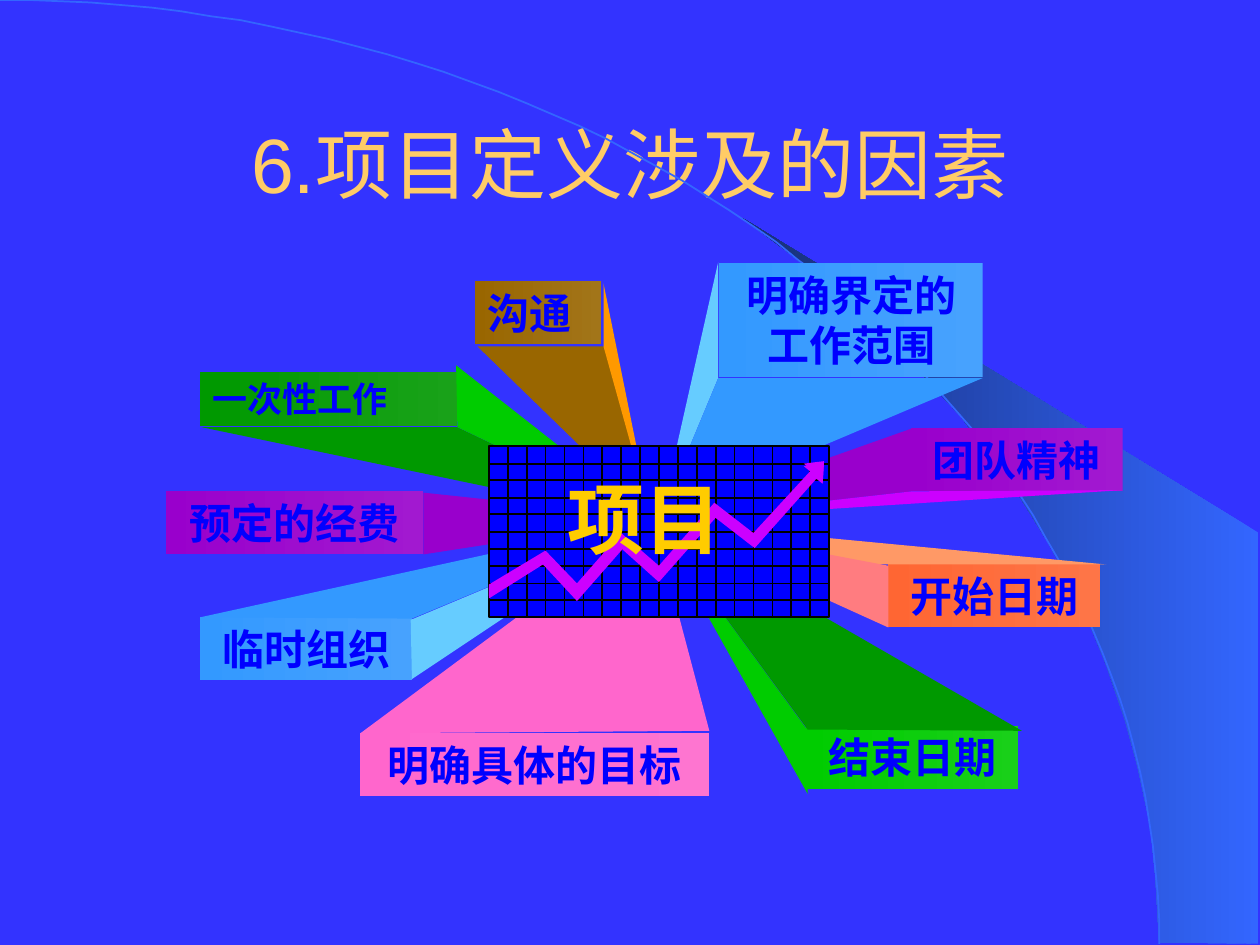
from dataclasses import dataclass
from math import cos, pi, sin

from lxml.etree import SubElement
from pptx import Presentation
from pptx.dml.color import RGBColor
from pptx.enum.shapes import MSO_CONNECTOR as Connector, MSO_SHAPE as Shape
from pptx.enum.text import MSO_ANCHOR as Anchor, MSO_AUTO_SIZE as AutoSize, PP_ALIGN as Align
from pptx.oxml.ns import qn
from pptx.util import Pt

PX = 9144


@dataclass(frozen=True)
class Theme:
    background: str = "3333FF"
    arc: str = "3366FF"
    arc_shade: str = "172F75"
    title: str = "FFCC66"
    label: str = "0000FF"
    panel: str = "0000FF"
    grid: str = "000000"
    trend: str = "CC00FF"
    project: str = "FFCC00"
    heading_size: int = 44
    label_size: int = 24
    small_size: int = 20
    heading_font: str = "Arial"
    label_font: str = "Times New Roman"
    chinese_font: str = "Noto Sans CJK SC"


THEME = Theme()

BAND = [(920, 748), (999, 749), (999, 423), (589, 173), (624, 199), (653, 222),
        (685, 250), (716, 280), (762, 330), (803, 384), (832, 431), (858, 479),
        (878, 528), (893, 572), (903, 609), (913, 656), (917, 696)]

TREND = [(0, 112), (45, 85), (70, 111), (105, 71), (135, 97), (179, 47), (210, 71),
         (256, 21), (250, 16), (266, 14), (265, 30), (260, 26), (211, 81), (180, 57),
         (135, 108), (106, 82), (70, 123), (43, 94), (0, 121)]

FACTORS = [
    dict(text="沟通", box=(377, 223, 100, 50), colors=("A27519", "996600"),
         align=Align.LEFT, apex=(516, 408),
         faces=[("996600", (2, 52), (107, 52)), ("FF9900", (102, 2), (102, 52))]),
    dict(text="明确界定的\n工作范围", box=(571, 209, 209, 90), colors=("47A2FE", "3399FF"),
         apex=(525, 408),
         faces=[("66CCFF", (-1, -1), (-1, 91)), ("3399FF", (-1, 91), (209, 91))]),
    dict(text="团队精神", box=(723, 340, 168, 50), colors=("A219D0", "9900CC"),
         apex=(518, 413),
         faces=[("9900CC", (1, 0), (1, 50)), ("CC00FF", (168, 49), (1, 50))]),
    dict(text="开始日期", box=(705, 448, 168, 50), colors=("FE7547", "FF6633"),
         apex=(520, 414),
         faces=[("FF9966", (173, 0), (-43, 0)), ("FF7C80", (0, 1), (0, 50))]),
    dict(text="一次性工作", box=(159, 295, 204, 43), colors=("19A219", "009900"),
         align=Align.LEFT, size=THEME.small_size, apex=(520, 414),
         faces=[("009900", (1, 44), (204, 44)), ("00CC00", (203, -5), (204, 44))]),
    dict(text="预定的经费", box=(132, 390, 204, 50), colors=("A219D0", "9900CC"),
         apex=(524, 411), faces=[("9900CC", (204, 1), (204, 50))]),
    dict(text="临时组织", box=(159, 490, 168, 50), colors=("47A2FE", "3399FF"),
         apex=(519, 411),
         faces=[("3399FF", (0, 0), (168, 1)), ("66CCFF", (167, 2), (168, 49))]),
    dict(text="明确具体的目标", box=(286, 582, 277, 50), colors=("FE75D0", "FF66CC"),
         apex=(518, 410), faces=[("FF66CC", (0, 0), (277, -2))]),
    dict(text="结束日期", box=(640, 576, 168, 50), colors=("19D019", "00CC00"),
         apex=(518, 411),
         faces=[("00CC00", (1, 54), (2, 5)), ("009900", (171, 4), (1, 3))]),
]


def rgb(value):
    return RGBColor.from_string(value)


def emu(box):
    return [value * PX for value in box]


def set_values(target, values):
    for name, value in values.items():
        setattr(target, name, value)


def paint(shape, fill=None, line=None):
    shape.shadow.inherit = False
    if fill is None:
        shape.fill.background()
    elif isinstance(fill, tuple):
        shape.fill.gradient()
        shape.fill.gradient_angle = 180
        for stop, color in zip(shape.fill.gradient_stops, fill):
            stop.color.rgb = rgb(color)
    else:
        shape.fill.solid()
        shape.fill.fore_color.rgb = rgb(fill)
    if line:
        shape.line.color.rgb = rgb(line)
        shape.line.width = Pt(1)
    else:
        shape.line.fill.background()


def write(shape, text, color, size, font, bold=True, align=Align.CENTER, **frame_values):
    frame = shape.text_frame
    set_values(frame, dict(dict(word_wrap=True, vertical_anchor=Anchor.TOP), **frame_values))
    frame.text = text
    for paragraph in frame.paragraphs:
        paragraph.alignment = align
        for run in paragraph.runs:
            set_values(run.font, dict(name=font, size=Pt(size), bold=bold))
            run.font.color.rgb = rgb(color)
            properties = run.font._element
            SubElement(properties, qn("a:ea"), typeface=THEME.chinese_font)


def add_outline(slide, points, origin=(0, 0), close=True, **paints):
    left, top = origin
    placed = [(left + x, top + y) for x, y in points]
    builder = slide.shapes.build_freeform(*placed[0], scale=PX)
    builder.add_line_segments(placed[1:], close=close)
    paint(builder.convert_to_shape(), **paints)


def add_line(slide, start, end, color):
    line = slide.shapes.add_connector(Connector.STRAIGHT, *emu(start + end))
    line.line.color.rgb = rgb(color)
    line.line.width = Pt(1)
    SubElement(line._element.spPr, qn("a:effectLst"))


def add_backdrop(slide, box):
    left, top, width, height = box
    slide.background.fill.solid()
    slide.background.fill.fore_color.rgb = rgb(THEME.background)
    add_outline(slide, BAND, (left, top), fill=(THEME.arc, THEME.arc_shade))
    steps = 60
    angles = [pi / 2 * step / steps for step in range(steps + 1)]
    arc = [(round(width * sin(angle)), round(height * (1 - cos(angle)))) for angle in angles]
    add_outline(slide, arc, (left, top), close=False, line=THEME.arc)


def add_title(slide, box, text):
    title = slide.shapes.title
    set_values(title, dict(zip(("left", "top", "width", "height"), emu(box))))
    write(title, text, THEME.title, THEME.heading_size, THEME.heading_font,
          bold=False, vertical_anchor=Anchor.MIDDLE, auto_size=AutoSize.NONE)


def add_factor(slide, box, text, colors, apex, faces, align=Align.CENTER,
               size=THEME.label_size):
    left, top = box[:2]
    label = slide.shapes.add_shape(Shape.RECTANGLE, *emu(box))
    paint(label, fill=colors)
    write(label, text, THEME.label, size, THEME.label_font, align=align,
          auto_size=AutoSize.SHAPE_TO_FIT_TEXT)
    tip = (apex[0] - left, apex[1] - top)
    for color, start, end in faces:
        add_outline(slide, [start, end, tip], (left, top), fill=color)


def add_project(slide, box, text, columns=18, rows=10):
    left, top, width, height = box
    panel = slide.shapes.add_shape(Shape.RECTANGLE, *emu(box))
    paint(panel, fill=THEME.panel, line=THEME.grid)
    for column in range(1, columns):
        x = left + round(column * width / columns)
        add_line(slide, (x, top), (x, top + height), THEME.grid)
    for row in range(1, rows):
        y = top + round(row * height / rows)
        add_line(slide, (left, y), (left + width, y), THEME.grid)
    for shift in (0, -2):
        add_outline(slide, TREND, (left, top + shift), fill=THEME.trend)
    caption = slide.shapes.add_textbox(*emu((left + 53, top + 15, 143, 83)))
    write(caption, text, THEME.project, THEME.heading_size, THEME.chinese_font,
          align=Align.LEFT, word_wrap=False, auto_size=AutoSize.SHAPE_TO_FIT_TEXT)


def main():
    presentation = Presentation()
    set_values(presentation, dict(slide_width=1000 * PX, slide_height=750 * PX))
    slide = presentation.slides.add_slide(presentation.slide_layouts[5])
    add_backdrop(slide, (0, 0, 920, 749))
    add_title(slide, (75, 67, 850, 125), "6.项目定义涉及的因素")
    for factor in FACTORS:
        add_factor(slide, **factor)
    add_project(slide, (388, 354, 270, 136), "项目")
    presentation.save("out.pptx")


if __name__ == "__main__":
    main()
